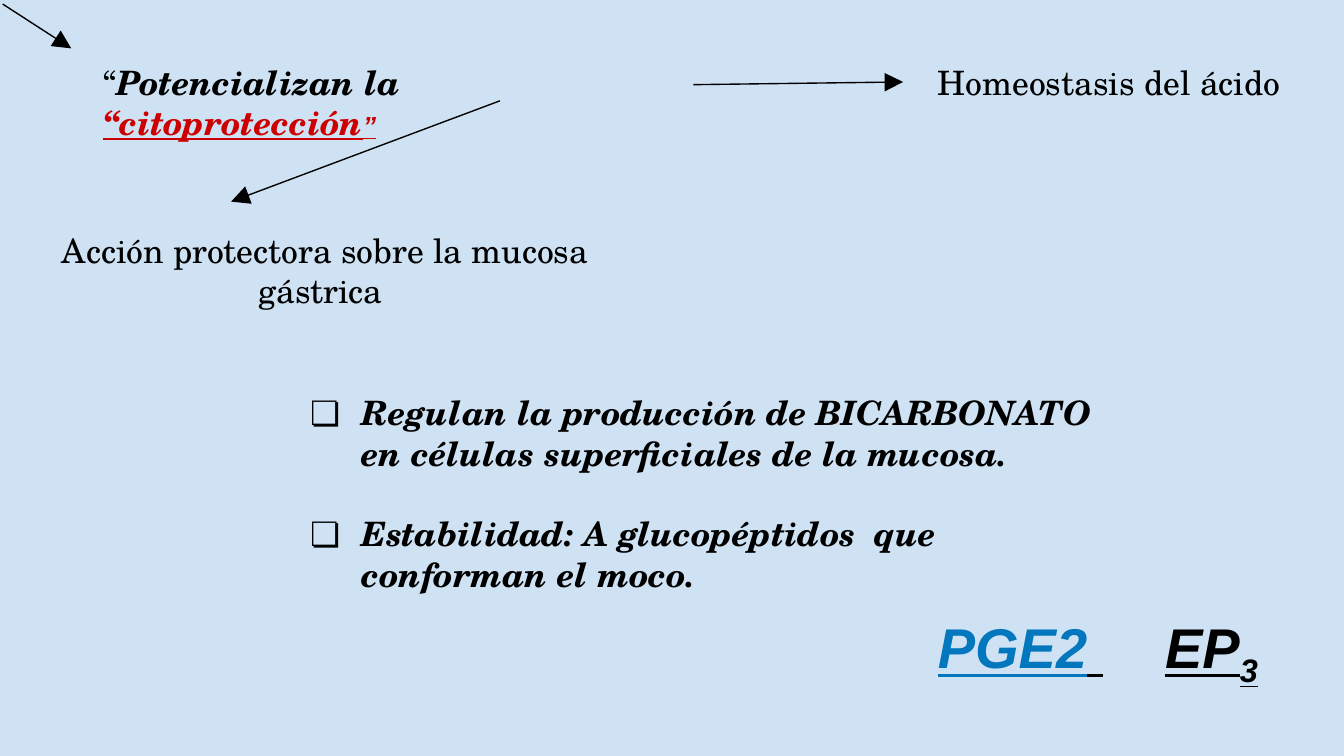
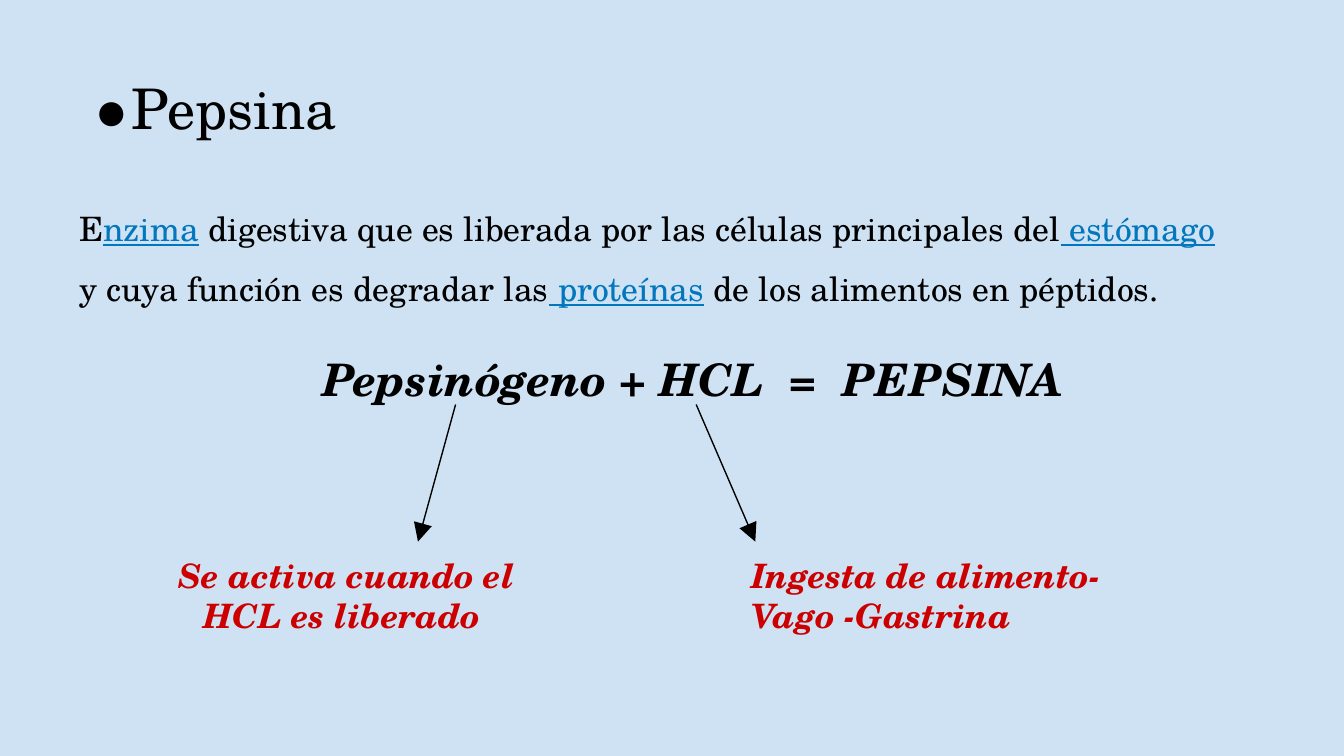
import pptx
import pptx.dml.color
import pptx.enum.shapes
import pptx.enum.text
import pptx.oxml.ns
import pptx.util

RGBColor = pptx.dml.color.RGBColor
Inches, Pt = pptx.util.Inches, pptx.util.Pt
Align, Anchor = pptx.enum.text.PP_ALIGN, pptx.enum.text.MSO_ANCHOR
qn = pptx.oxml.ns.qn

SKY = RGBColor(0xCF, 0xE2, 0xF3)
BLACK = RGBColor(0, 0, 0)
RED = RGBColor(0xCC, 0, 0)
BLUE = RGBColor(0x02, 0x77, 0xBD)
SERIF, SANS = "TeX Gyre Schola", "Arial"
MARGIN = 0.1

STRONG = dict(bold=True, italic=True)
RED_STRONG = dict(STRONG, color=RED)
RED_LINK = dict(RED_STRONG, underline=True)
BLUE_LINK = dict(color=BLUE, underline=True)

# Each text: (left, top, width, height), paragraphs of (words, run format), format.
CITOPROTECCION = [
    ((0.67, 0.36, 4.49, 0.53),
     [[("“", {}), ("Potencializan la", STRONG), (" “citoprotección", RED_LINK),
       ("”", dict(RED_LINK, size=14, font=SANS))]], {}),
    ((6.88, 0.36, 3, 0.53), [[("Homeostasis del ácido", {})]], {}),
    ((0.12, 1.61, 4.6, 0.74),
     [[("Acción protectora sobre la mucosa gástrica ", {})]], dict(align=Align.CENTER)),
    ((2.09, 2.82, 6.2, 1.93),
     [[("Regulan la producción de BICARBONATO en células superficiales de la mucosa.", {})],
      [("Estabilidad: A glucopéptidos  que conforman el moco.", {})]],
     dict(STRONG, bullet="❏", hang=0.38, gap=21.6)),
    ((6.88, 4.35, 2.65, 0.99),
     [[("PGE2", dict(color=BLUE)), (" ", dict(tracking=33.4)), ("EP", {}),
       ("3", dict(baseline=-25))]],
     dict(STRONG, underline=True, size=30, font=SANS, anchor=Anchor.MIDDLE)),
]
CITOPROTECCION_ARROWS = [
    (0.02, 0.03, 0.53, 0.36),
    (5.16, 0.63, 6.72, 0.61),
    (3.72, 0.75, 1.72, 1.5),
]

PEPSINA_TITLE = ((0.33, 0.45, 9.32, 0.7), [[("Pepsina", {})]],
                 dict(size=30, bullet="●", hang=0.25))
PEPSINA = [
    ((0.49, 1.15, 8.67, 1.39),
     [[("E", {}), ("nzima", BLUE_LINK),
       (" digestiva que es liberada por las células principales del", {}),
       (" estómago", BLUE_LINK), (" y cuya función es degradar las", {}),
       (" proteínas", BLUE_LINK), (" de los alimentos en péptidos.", {})]],
     dict(anchor=Anchor.MIDDLE, spacing=1.5)),
    ((2.3, 2.52, 5.76, 0.49), [[("Pepsinógeno + HCL  =  PEPSINA", {})]],
     dict(STRONG, size=24)),
    ((1.21, 4.03, 2.74, 1.02), [[("Se activa cuando el HCL es liberado ", {})]],
     dict(RED_STRONG, align=Align.CENTER)),
    ((5.49, 4.03, 3.3, 1.02), [[("Ingesta de alimento- Vago -Gastrina", {})]], RED_STRONG),
]
PEPSINA_ARROWS = [(3.39, 3.01, 3.11, 4.03), (5.18, 3.01, 5.62, 4.03)]


def add_child(parent, tag, **attributes):
    parent.append(parent.makeelement(qn(tag), attributes))


def add_run(p, words, size=18, font=SERIF, color=BLACK, bold=False, italic=False,
            underline=False, baseline=0, tracking=0):
    """Add a run; baseline is in percent, tracking in points."""
    r = p.add_run()
    r.text = words
    f = r.font
    f.size, f.name, f.bold, f.italic, f.underline = Pt(size), font, bold, italic, underline
    f.color.rgb = color
    if baseline:
        f._element.set("baseline", str(baseline * 1000))
    if tracking:
        f._element.set("spc", str(round(tracking * 100)))


def set_bullet(p, char, hang):
    pPr = p._p.get_or_add_pPr()
    pPr.set("marL", str(Inches(0.5)))
    pPr.set("indent", str(-Inches(hang)))
    add_child(pPr, "a:buFont", typeface=SERIF)
    add_child(pPr, "a:buChar", char=char)


def write(sp, box, paragraphs, align=Align.LEFT, anchor=Anchor.TOP, spacing=None,
          bullet=None, hang=0, gap=0, **run_format):
    """Place a shape and fill it with paragraphs of formatted runs."""
    sp.left, sp.top, sp.width, sp.height = map(Inches, box)
    tf = sp.text_frame
    tf.word_wrap = True
    tf.auto_size = pptx.enum.text.MSO_AUTO_SIZE.NONE
    tf.vertical_anchor = anchor
    tf.margin_left = tf.margin_right = tf.margin_top = tf.margin_bottom = Inches(MARGIN)
    for i, runs in enumerate(paragraphs):
        p = tf.add_paragraph() if i else tf.paragraphs[0]
        p.alignment = align
        if spacing:
            p.line_spacing = spacing
        if i and gap:
            p.space_before = Pt(gap)
        if bullet:
            set_bullet(p, bullet, hang)
        for words, own in runs:
            add_run(p, words, **{**run_format, **own})


def add_arrow(slide, ends):
    line = slide.shapes.add_connector(
        pptx.enum.shapes.MSO_CONNECTOR.STRAIGHT, *map(Inches, ends))
    line.line.color.rgb = BLACK
    line.line.width = Pt(0.75)
    add_child(line.line._get_or_add_ln(), "a:tailEnd", type="triangle", w="lg", len="lg")
    add_child(line._element.spPr, "a:effectLst")


def add_slide(prs, texts, arrows, title=None):
    slide = prs.slides.add_slide(prs.slide_layouts[5 if title else 6])
    fill = slide.background.fill
    fill.solid()
    fill.fore_color.rgb = SKY
    if title:
        box, paragraphs, fmt = title
        write(slide.shapes.title, box, paragraphs, **fmt)
    for box, paragraphs, fmt in texts:
        write(slide.shapes.add_textbox(0, 0, 0, 0), box, paragraphs, **fmt)
    for ends in arrows:
        add_arrow(slide, ends)


def main():
    prs = pptx.Presentation()
    prs.slide_width = Inches(10)
    prs.slide_height = prs.slide_width * 9 // 16
    add_slide(prs, CITOPROTECCION, CITOPROTECCION_ARROWS)
    add_slide(prs, PEPSINA, PEPSINA_ARROWS, PEPSINA_TITLE)
    prs.save("out.pptx")


if __name__ == "__main__":
    main()
